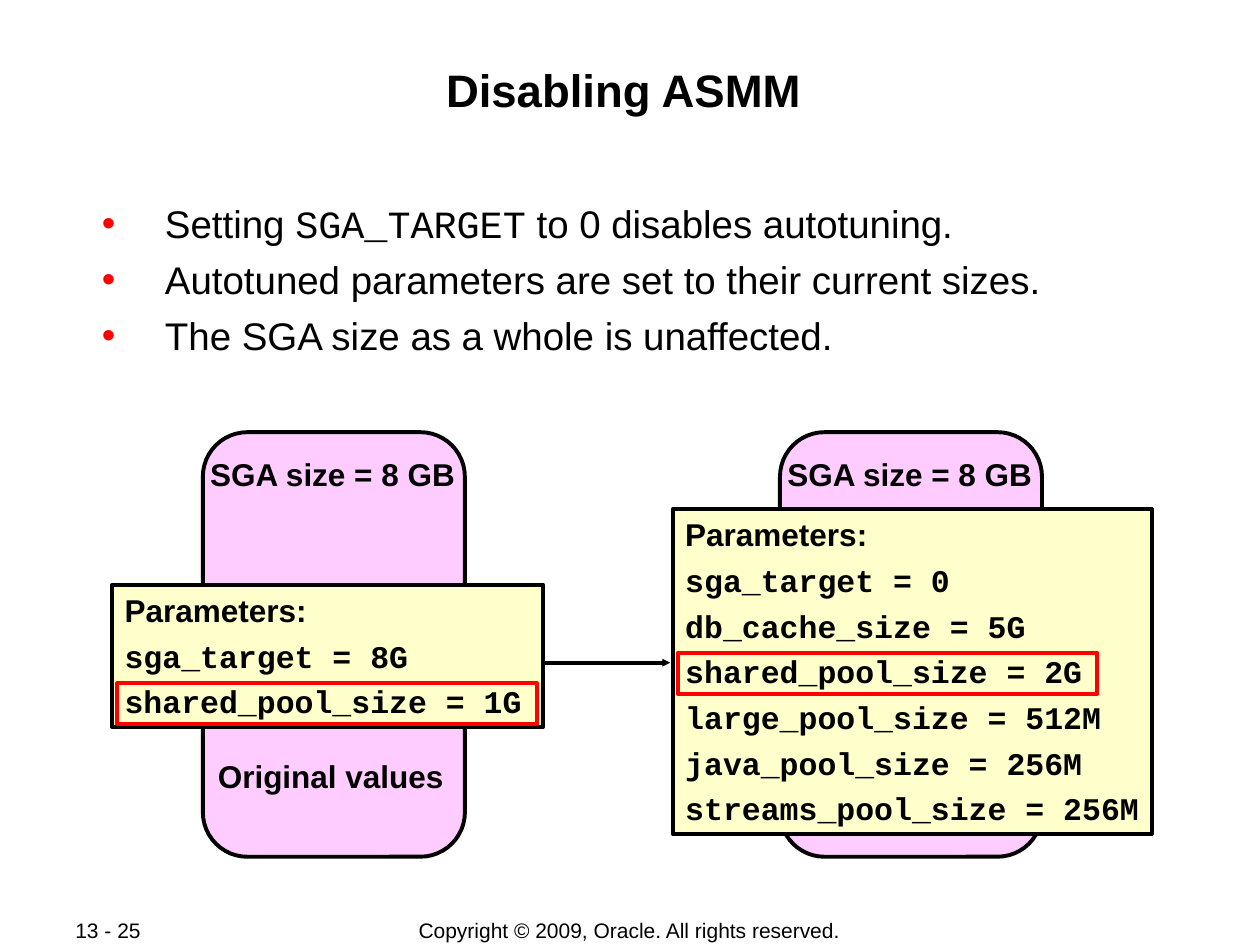
"""Build the "Disabling ASMM" slide: three bullets above a before/after SGA diagram."""
from lxml import etree
from pptx import Presentation
from pptx import util as u
from pptx.dml.color import RGBColor
from pptx.enum import shapes, text
from pptx.oxml import ns

BLACK = RGBColor(0x00, 0x00, 0x00)
RED = RGBColor(0xFF, 0x00, 0x00)
PINK = RGBColor(0xFF, 0xCC, 0xFF)
CREAM = RGBColor(0xFF, 0xFF, 0xCC)
SANS, MONO = "Arial", "Courier New"
LEFT, CENTER = text.PP_ALIGN.LEFT, text.PP_ALIGN.CENTER

prs = Presentation()
prs.slide_width, prs.slide_height = u.Inches(10), u.Inches(7.5)
COL, ROW = prs.slide_width / 100, prs.slide_height / 100
s = prs.slides.add_slide(prs.slide_layouts[5])


def write(sp, lines, size, bold=True, align=LEFT, wrap=False, gap=0,
          inset=(0.1, 0.05), anchor=text.MSO_ANCHOR.TOP):
    """Fill a shape with lines, each a list of (text, font) runs."""
    tf = sp.text_frame
    tf.auto_size = text.MSO_AUTO_SIZE.NONE
    tf.word_wrap, tf.vertical_anchor = wrap, anchor
    tf.margin_left = tf.margin_right = u.Inches(inset[0])
    tf.margin_top = tf.margin_bottom = u.Inches(inset[1])
    for i, line in enumerate(lines):
        p = tf.add_paragraph() if i else tf.paragraphs[0]
        p.alignment, p.space_before = align, u.Pt(gap if i else 0)
        for words, font in line:
            r = p.add_run()
            r.text = words
            r.font.name, r.font.size, r.font.bold = font, u.Pt(size), bold
            r.font.color.rgb = BLACK
    return tf


def add(kind, x, y, w, h, fill=None, line=BLACK):
    """Place a shape, or a text box if kind is None, in percent of the slide."""
    box = [round(v) for v in (x * COL, y * ROW, w * COL, h * ROW)]
    if kind is None:
        return s.shapes.add_textbox(*box)
    sp = s.shapes.add_shape(kind, *box)
    sp.shadow.inherit = False
    if fill is None:
        sp.fill.background()
    else:
        sp.fill.solid()
        sp.fill.fore_color.rgb = fill
    sp.line.color.rgb, sp.line.width = line, u.Pt(2.25)
    return sp


title = s.shapes.title
title.left, title.top = round(6.7 * COL), round(6.4 * ROW)
title.width, title.height = round(86.6 * COL), round(12.8 * ROW)
write(title, [[("Disabling ASMM ", SANS)]], 26, align=CENTER, wrap=True, inset=(0.01, 0.01))

bullets = [
    [("Setting ", SANS), ("SGA_TARGET", MONO), (" to 0 disables autotuning.", SANS)],
    [("Autotuned parameters are set to their current sizes.", SANS)],
    [("The SGA size as a whole is unaffected.", SANS)],
]
tf = write(add(None, 6.7, 21.07, 86.6, 17.07), bullets, 22, bold=False, wrap=True,
           gap=5.5, inset=(0.01, 0.01))
for p in tf.paragraphs:
    pPr = p._p.get_or_add_pPr()
    pPr.set("marL", str(u.Inches(0.63)))
    pPr.set("indent", str(u.Inches(-0.5)))
    clr = etree.SubElement(pPr, ns.qn("a:buClr"))
    etree.SubElement(clr, ns.qn("a:srgbClr")).set("val", str(RED))
    etree.SubElement(pPr, ns.qn("a:buFont")).set("typeface", SANS)
    etree.SubElement(pPr, ns.qn("a:buChar")).set("char", "•")

arrow = s.shapes.add_connector(
    shapes.MSO_CONNECTOR.STRAIGHT,
    *[round(v) for v in (41.7 * COL, 70.13 * ROW, 53.2 * COL, 70.13 * ROW)])
arrow.line.color.rgb, arrow.line.width = BLACK, u.Pt(2.25)
tail = etree.SubElement(arrow.line._get_or_add_ln(), ns.qn("a:tailEnd"))
for key, value in (("type", "triangle"), ("w", "sm"), ("len", "sm")):
    tail.set(key, value)
etree.SubElement(arrow._element.spPr, ns.qn("a:effectLst"))

for x in (16.1, 61.9):
    sga = add(shapes.MSO_SHAPE.ROUNDED_RECTANGLE, x, 45.73, 20.8, 44.93, PINK)
    sga.adjustments[0] = 0.17
    write(add(None, x - 0.4, 47.47, 21.5, 5.33), [[("SGA size = 8 GB", SANS)]], 18)
write(add(None, 16.3, 79.47, 19.9, 5.33), [[("Original values", SANS)]], 18, align=CENTER)

before = ["sga_target = 8G", "shared_pool_size = 1G"]
after = ["sga_target = 0", "db_cache_size = 5G", "shared_pool_size = 2G",
         "large_pool_size = 512M", "java_pool_size = 256M", "streams_pool_size = 256M"]
for box, params, wrap, mark_y in (
    ((8.9, 61.87, 34.2, 15.07), before, True, 72.27),
    ((53.4, 53.87, 38, 34.4), after, False, 69.07),
):
    lines = [[("Parameters:", SANS)]] + [[(param, MONO)] for param in params]
    write(add(shapes.MSO_SHAPE.RECTANGLE, *box, CREAM), lines, 18, wrap=wrap, gap=4.5)
    add(shapes.MSO_SHAPE.RECTANGLE, box[0] + 0.4, mark_y, 33.3, 4.4, line=RED)

for x, w, words, align in (
    (5, 10.6, "13 - 25", LEFT),
    (27.5, 44.9, "Copyright © 2009, Oracle. All rights reserved.", CENTER),
):
    write(add(None, x, 97.07, w, 2.8), [[(words, SANS)]], 12, bold=False, align=align,
          wrap=True, anchor=text.MSO_ANCHOR.MIDDLE)

prs.save("out.pptx")
